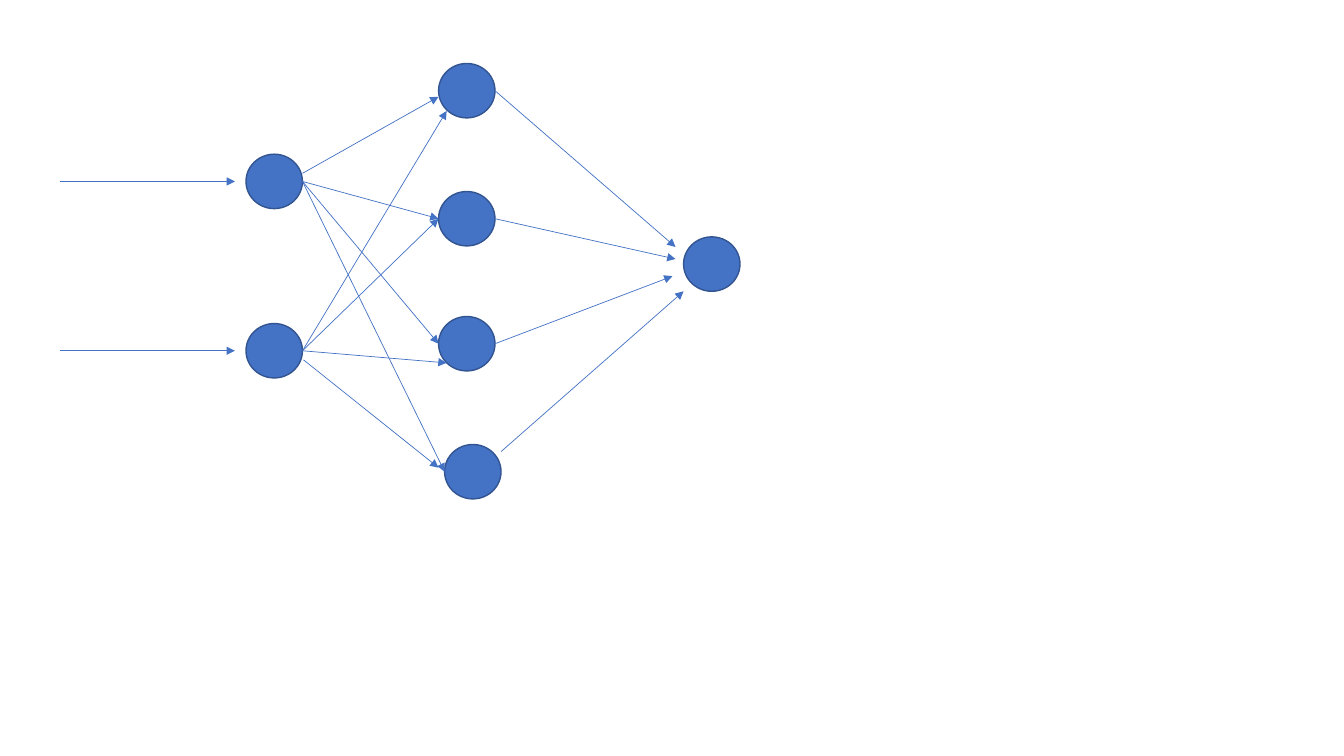
from dataclasses import dataclass

from lxml.etree import SubElement
from pptx import Presentation
from pptx.dml.color import RGBColor
from pptx.enum.shapes import MSO_CONNECTOR as Link, MSO_SHAPE as Shape
from pptx.oxml.ns import qn
from pptx.slide import Slide
from pptx.util import Inches, Pt

BLUE = "4472C4"
NAVY = "325491"
WIDE, HIGH = 0.56, 0.54


@dataclass(frozen=True)
class Node:
    """A neuron, placed by its left and top in inches."""
    left: float
    top: float

    @property
    def mid(self) -> float:
        """Return the height of the centre."""
        return self.top + HIGH / 2

    @property
    def west(self) -> tuple[float, float]:
        """Return the leftmost point."""
        return self.left, self.mid

    @property
    def east(self) -> tuple[float, float]:
        """Return the rightmost point."""
        return self.left + WIDE, self.mid


@dataclass(frozen=True)
class Arrow:
    """An arrow between two points in inches."""
    start: tuple[float, float]
    end: tuple[float, float]


def color(code: str) -> RGBColor:
    """Turn a hex string into a colour."""
    return RGBColor.from_string(code)


def draw_node(slide: Slide, node: Node) -> None:
    """Draw a neuron as a filled circle."""
    disc = slide.shapes.add_shape(
        Shape.OVAL, Inches(node.left), Inches(node.top), Inches(WIDE), Inches(HIGH))
    disc.shadow.inherit = False
    disc.fill.solid()
    disc.fill.fore_color.rgb = color(BLUE)
    disc.line.color.rgb = color(NAVY)
    disc.line.width = Pt(1)


def draw_arrow(slide: Slide, arrow: Arrow) -> None:
    """Draw a thin line with a triangle at its end."""
    ends = [Inches(v) for v in (*arrow.start, *arrow.end)]
    link = slide.shapes.add_connector(Link.STRAIGHT, *ends)
    link.line.color.rgb = color(BLUE)
    link.line.width = Pt(0.5)
    SubElement(link.line._get_or_add_ln(), qn("a:tailEnd"), type="triangle")
    SubElement(link._element.spPr, qn("a:effectLst"))


def main() -> None:
    """Build the network slide and save it."""
    deck = Presentation()
    deck.slide_width, deck.slide_height = Inches(13.33), Inches(7.5)
    slide = deck.slides.add_slide(deck.slide_layouts[6])

    inputs = [Node(2.44, top) for top in (1.53, 3.21)]
    hidden = [Node(4.35, top) for top in (0.63, 1.9, 3.14)] + [Node(4.41, 4.41)]
    output = Node(6.78, 2.35)
    upper, lower = inputs
    first, second, third, fourth = hidden

    feeds = [Arrow((0.6, node.mid), (2.33, node.mid)) for node in inputs]
    inner = [
        Arrow((3, 1.72), (4.35, 0.96)),
        Arrow(lower.east, (4.43, 1.1)),
        *(Arrow(upper.east, node.west) for node in (second, third, fourth)),
        Arrow(lower.east, second.west),
        Arrow(lower.east, (4.43, 3.6)),
        Arrow((3.01, 3.57), (4.35, 4.64)),
    ]
    outer = [
        Arrow(first.east, (6.7, 2.45)),
        Arrow(second.east, (6.7, 2.57)),
        Arrow(third.east, (6.67, 2.74)),
        Arrow((4.97, 4.48), (6.78, 2.89)),
    ]

    for node in (*inputs, *hidden, output):
        draw_node(slide, node)
    for arrow in (*feeds, *inner, *outer):
        draw_arrow(slide, arrow)
    deck.save("out.pptx")


main()
